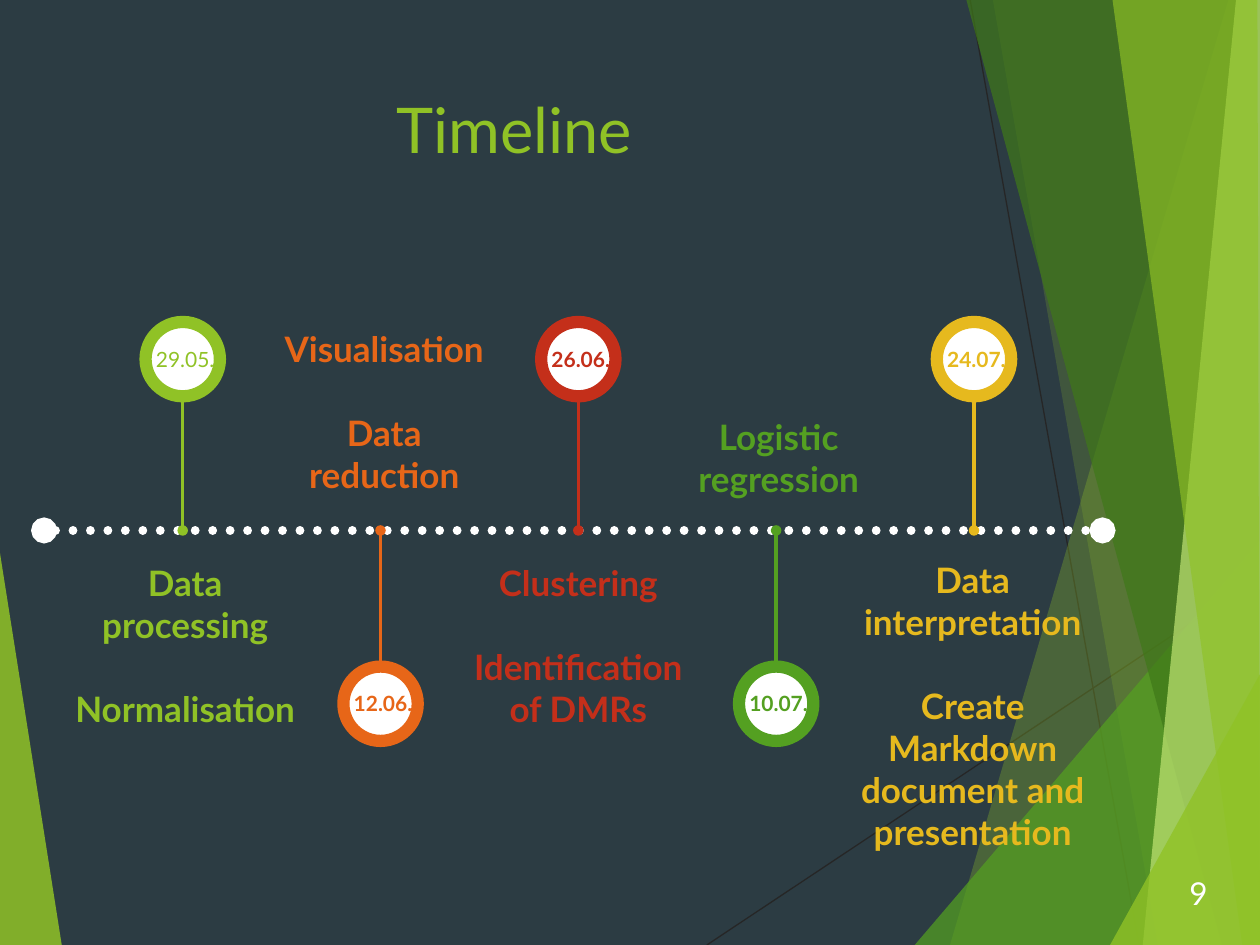
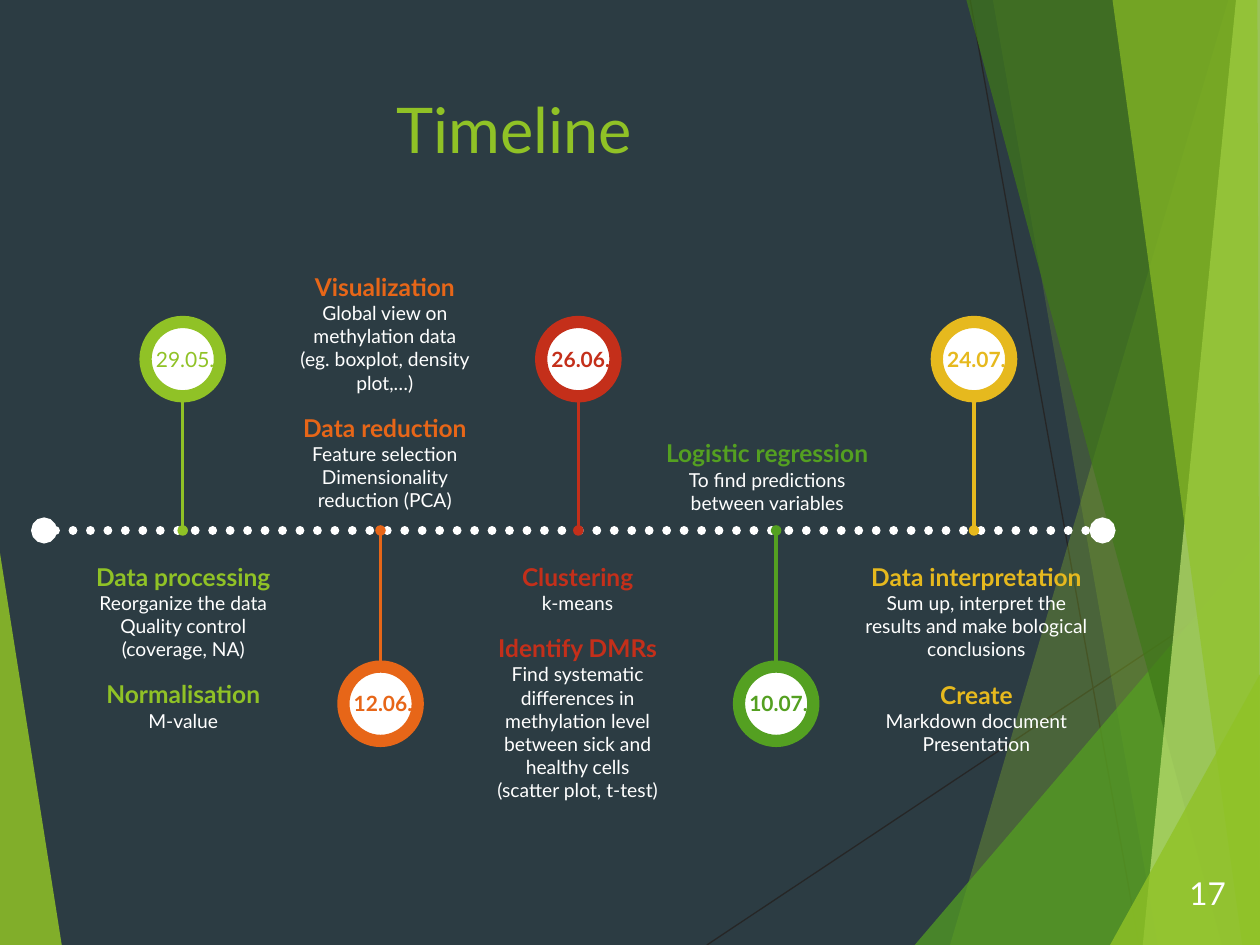
from dataclasses import dataclass
from typing import Optional

from lxml.etree import SubElement
from pptx import Presentation
from pptx.dml.color import RGBColor
from pptx.enum.dml import MSO_LINE
from pptx.enum.shapes import MSO_CONNECTOR, MSO_SHAPE
from pptx.enum.text import PP_ALIGN
from pptx.oxml.ns import qn
from pptx.util import Inches, Pt

COLORS = {
    "background": "2C3C43", "white": "FFFFFF", "hairline": "262626",
    "lime": "90C226", "orange": "E76618", "red": "C42F1A",
    "green": "54A021", "yellow": "E6B91E",
    "forest": "3F7819", "pale": "C0E474",
}
FONT = "Lato"

# Grid: 100 columns by 75 rows of square cells
COLUMNS, ROWS = 100, 75
CELL = Inches(0.1)

# Timeline geometry, in cells
AXIS_ROW, AXIS_START, AXIS_END = 42.1, 3.5, 87.5
FIRST_STOP, STOP_STEP = 14.5, 15.7
BADGE_SIZE = 5.9
UPPER_BADGE_ROW, LOWER_BADGE_ROW = 28.5, 55.85
STEM_GAP = 3.35
DATE_WIDTH, DATE_HEIGHT = 7.3, 3


@dataclass(frozen=True)
class Facet:
    color: str
    opacity: int
    corners: tuple[tuple[float, float], ...]


@dataclass(frozen=True)
class Milestone:
    date: str
    color: str
    bold: bool = True


@dataclass(frozen=True)
class Topic:
    heading: str
    details: tuple[str, ...] = ()


@dataclass(frozen=True)
class Caption:
    left: float
    top: float
    width: float
    height: float
    topics: tuple[Topic, ...]


@dataclass(frozen=True)
class CaptionStyle:
    heading_size: int
    detail_size: int
    topic_gap: float
    detail_color: Optional[str] = None  # None: milestone colour, bold


@dataclass(frozen=True)
class TimelinePage:
    number: str
    style: CaptionStyle
    captions: tuple[Caption, ...]  # one per milestone


FACETS = (
    Facet("lime", 85, ((0, 43.9), (4.9, ROWS), (0, ROWS))),
    Facet("lime", 30, ((97.5, 0), (75.4, ROWS), (COLUMNS, ROWS), (COLUMNS, 0))),
    Facet("lime", 20, ((78.8, 0), (91.9, ROWS), (COLUMNS, ROWS), (COLUMNS, 0))),
    Facet("green", 72, ((72.6, ROWS), (COLUMNS, 42.9), (COLUMNS, ROWS))),
    Facet("forest", 70, ((76.7, 0), (97, ROWS), (COLUMNS, ROWS), (COLUMNS, 0))),
    Facet("pale", 70, ((98.1, 0), (90.7, ROWS), (COLUMNS, ROWS), (COLUMNS, 0))),
    Facet("lime", 65, ((88.3, 0), (98.6, ROWS), (COLUMNS, ROWS), (99.8, 0))),
    Facet("lime", 80, ((88.1, ROWS), (COLUMNS, 53.5), (COLUMNS, ROWS))),
)

MILESTONES = (
    Milestone("29.05.", "lime", bold=False),
    Milestone("12.06.", "orange"),
    Milestone("26.06.", "red"),
    Milestone("10.07.", "green"),
    Milestone("24.07.", "yellow"),
)

PAGES = (
    TimelinePage("9", CaptionStyle(20, 20, 24), (
        Caption(4.3, 44.1, 20.8, 14.5, (Topic("Data processing"), Topic("Normalisation"))),
        Caption(20.5, 25.5, 20, 14.5, (Topic("Visualisation"), Topic("Data reduction"))),
        Caption(35.9, 44.1, 20, 14.5, (Topic("Clustering"), Topic("Identification of DMRs"))),
        Caption(52.2, 32.5, 19.2, 8, (Topic("Logistic regression"),)),
        Caption(65.4, 43.8, 23.6, 29.1, (
            Topic("Data interpretation"),
            Topic("Create", ("Markdown document and presentation",)),
        )),
    )),
    TimelinePage("17", CaptionStyle(14, 11, 10.8, "white"), (
        Caption(5.1, 44.1, 18.9, 14.6, (
            Topic("Data processing",
                  ("Reorganize the data", "Quality control", "(coverage, NA)")),
            Topic("Normalisation", ("M-value",)),
        )),
        Caption(22.4, 21.1, 16.3, 20.2, (
            Topic("Visualization",
                  ("Global view on methylation data", "(eg. boxplot, density plot,…)")),
            Topic("Data reduction",
                  ("Feature selection", "Dimensionality reduction (PCA)")),
        )),
        Caption(36.8, 44.1, 18.1, 20.2, (
            Topic("Clustering", ("k-means",)),
            Topic("Identify DMRs", (
                "Find systematic differences in methylation level "
                "between sick and healthy cells",
                "(scatter plot, t-test)",
            )),
        )),
        Caption(51.1, 34.3, 19.6, 7.1, (
            Topic("Logistic regression", ("To find predictions between variables",)),
        )),
        Caption(67.6, 44.1, 19.8, 16.5, (
            Topic("Data interpretation",
                  ("Sum up, interpret the results and make bological conclusions",)),
            Topic("Create", ("Markdown document", "Presentation")),
        )),
    )),
)


def cells(count: float) -> int:
    return round(count * CELL)


def rgb(color: str) -> RGBColor:
    return RGBColor.from_string(COLORS[color])


# Drawing helpers
def add_line(slide, start: tuple, end: tuple, color: str, width: float):
    line = slide.shapes.add_connector(
        MSO_CONNECTOR.STRAIGHT, *map(cells, start), *map(cells, end))
    line.line.color.rgb = rgb(color)
    line.line.width = Pt(width)
    SubElement(line._element.spPr, qn("a:effectLst"))
    return line


def add_oval_ends(line, *ends: str) -> None:
    outline = line._element.spPr.find(qn("a:ln"))
    for end in ends:
        SubElement(outline, qn(f"a:{end}"), type="oval")


def add_frame(slide, left: float, top: float, width: float, height: float,
              wrap: bool = True):
    frame = slide.shapes.add_textbox(*map(cells, (left, top, width, height))).text_frame
    frame.word_wrap = wrap
    return frame


def style_paragraph(paragraph, text: str, size: float, color: str, bold: bool = False,
                    align: PP_ALIGN = PP_ALIGN.CENTER) -> None:
    paragraph.text = text
    paragraph.alignment = align
    paragraph.font.name = FONT
    paragraph.font.size = Pt(size)
    paragraph.font.bold = bold
    paragraph.font.color.rgb = rgb(color)


# Shared decoration, title and page number
def draw_facet(slide, facet: Facet) -> None:
    start, *rest = [(cells(x), cells(y)) for x, y in facet.corners]
    builder = slide.shapes.build_freeform(*start)
    builder.add_line_segments(rest, close=True)
    pane = builder.convert_to_shape()
    pane.shadow.inherit = False
    pane.line.fill.background()
    pane.fill.solid()
    pane.fill.fore_color.rgb = rgb(facet.color)
    tint = pane._element.spPr.find(f".//{qn('a:srgbClr')}")
    SubElement(tint, qn("a:alpha"), val=str(facet.opacity * 1000))


def draw_frame(slide, number: str) -> None:
    add_line(slide, (56.1, ROWS), (COLUMNS, 45.8), "hairline", 0.75)
    add_line(slide, (77, 0), (90.4, ROWS), "hairline", 0.75)
    for facet in FACETS:
        draw_facet(slide, facet)
    title = add_frame(slide, 6.1, 6.7, 69.4, 14.4)
    style_paragraph(title.paragraphs[0], "Timeline", 36, "lime")
    page_number = add_frame(slide, 93.4, 68.9, 5.1, 4, wrap=False)
    style_paragraph(page_number.paragraphs[0], number, 18, "white", align=PP_ALIGN.LEFT)


# Timeline parts
def draw_axis(slide) -> None:
    axis = add_line(slide, (AXIS_START, AXIS_ROW), (AXIS_END, AXIS_ROW), "white", 5)
    axis.line.dash_style = MSO_LINE.ROUND_DOT
    axis._element.spPr.find(qn("a:ln")).set("cap", "rnd")
    add_oval_ends(axis, "headEnd", "tailEnd")


def draw_milestone(slide, index: int, milestone: Milestone) -> None:
    stop = FIRST_STOP + index * STOP_STEP
    above = index % 2 == 0
    badge_row = UPPER_BADGE_ROW if above else LOWER_BADGE_ROW
    stem_row = badge_row + (STEM_GAP if above else -STEM_GAP)

    badge = slide.shapes.add_shape(
        MSO_SHAPE.OVAL, cells(stop - BADGE_SIZE / 2), cells(badge_row - BADGE_SIZE / 2),
        cells(BADGE_SIZE), cells(BADGE_SIZE))
    badge.shadow.inherit = False
    badge.fill.solid()
    badge.fill.fore_color.rgb = rgb("white")
    badge.line.color.rgb = rgb(milestone.color)
    badge.line.width = Pt(7)

    stem = add_line(slide, (stop, stem_row), (stop, AXIS_ROW), milestone.color, 2)
    add_oval_ends(stem, "tailEnd")
    date = add_frame(slide, stop + 0.2 - DATE_WIDTH / 2, badge_row - DATE_HEIGHT / 2,
                     DATE_WIDTH, DATE_HEIGHT)
    style_paragraph(date.paragraphs[0], milestone.date, 12, milestone.color, milestone.bold)


def draw_caption(slide, caption: Caption, color: str, style: CaptionStyle) -> None:
    frame = add_frame(slide, caption.left, caption.top, caption.width, caption.height)
    for index, topic in enumerate(caption.topics):
        heading = frame.add_paragraph() if index else frame.paragraphs[0]
        style_paragraph(heading, topic.heading, style.heading_size, color, True)
        if index:
            heading.space_before = Pt(style.topic_gap)
        for detail in topic.details:
            style_paragraph(frame.add_paragraph(), detail, style.detail_size,
                            style.detail_color or color, style.detail_color is None)


def main() -> None:
    deck = Presentation()
    deck.slide_width, deck.slide_height = cells(COLUMNS), cells(ROWS)
    for page in PAGES:
        slide = deck.slides.add_slide(deck.slide_layouts[6])
        slide.background.fill.solid()
        slide.background.fill.fore_color.rgb = rgb("background")
        draw_frame(slide, page.number)
        draw_axis(slide)
        for index, (milestone, caption) in enumerate(zip(MILESTONES, page.captions)):
            draw_milestone(slide, index, milestone)
            draw_caption(slide, caption, milestone.color, page.style)
    deck.save("out.pptx")


if __name__ == "__main__":
    main()
